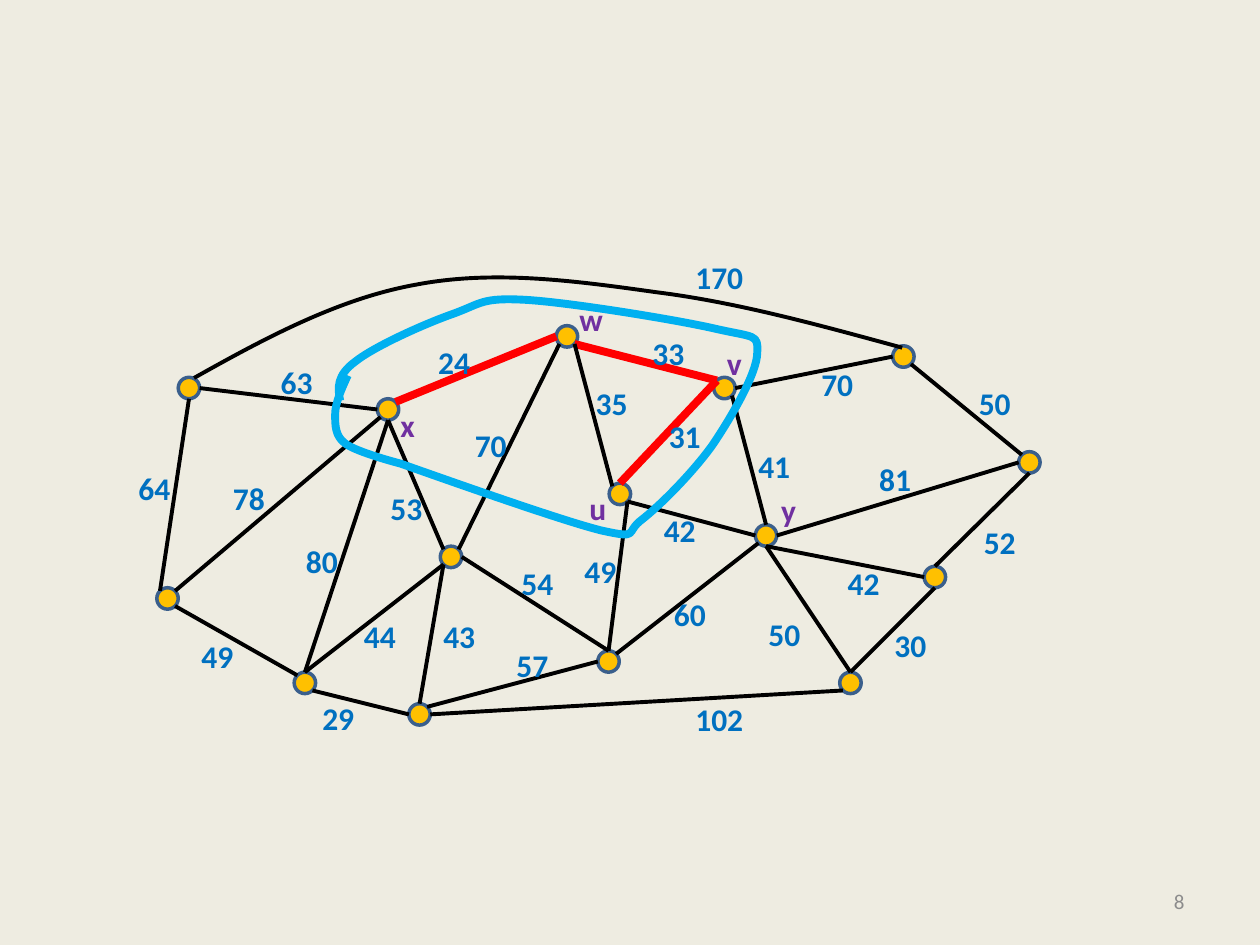
from lxml.etree import SubElement
from pptx import Presentation
from pptx.dml.color import RGBColor
from pptx.enum.shapes import MSO_CONNECTOR, MSO_SHAPE
from pptx.enum.text import MSO_ANCHOR, MSO_AUTO_SIZE, PP_ALIGN
from pptx.oxml.ns import qn
from pptx.util import Inches, Pt

THEME = {
    "font": "Calibri", "label": 18, "page": 12,
    "paper": "EEECE1", "grey": "8C8C8C", "dot": "FFC000", "rim": "3A5F8C",
    "edge": "000000", "tree": "FF0000", "cut": "00B0F0",
    "cost": "0070C0", "name": "7030A0",
    "thin": 2.25, "thick": 4.5, "rim_w": 2,
}

# Graph vertices: centre of each dot
DOTS = {
    "a": (1.5, 3.08), "x": (3.08, 3.25), "b": (1.33, 4.75),
    "c": (3.58, 4.42), "w": (4.5, 2.67), "d": (2.42, 5.42),
    "v": (5.75, 3.08), "u": (4.92, 3.92), "y": (6.08, 4.25),
    "e": (4.83, 5.25), "f": (7.42, 4.58), "g": (6.75, 5.42),
    "h": (3.33, 5.67), "i": (7.17, 2.83), "j": (8.17, 3.67),
}
SIZE = 0.17

# Edges: vertex and the side of its dot, at both ends
EDGES = [
    "a E x W", "a S b NW", "x S c NW", "c SW d N", "w SW c NE",
    "v NW u N", "w SE v NW", "c E e N", "c SW h N", "x NE w W",
    "v E i W", "i SE j NW", "v SE y N", "j W y E", "f W y S",
    "g N y S", "e N u SE", "u SE y W", "h E g SW", "b SE d NW",
    "e W h NE", "x SW b NE", "x S d N", "w SE u NW", "y SW e NE",
    "j S f N", "g N f S", "h W d SE",
]
TREE = {"vu", "wv", "xw"}

# Edge costs and vertex names: text, left, top
COSTS = [
    ("170", 5.42, 2), ("33", 5.08, 2.6), ("31", 5.21, 3.26),
    ("41", 5.92, 3.5), ("81", 6.88, 3.6), ("52", 7.71, 4.1),
    ("42", 6.63, 4.43), ("50", 7.67, 3), ("102", 5.42, 5.51),
    ("50", 6, 4.83), ("30", 7, 4.92), ("60", 5.25, 4.67),
    ("70", 3.67, 3.33), ("54", 4.04, 4.43), ("57", 4, 5.08),
    ("49", 4.54, 4.33), ("49", 1.5, 5.01), ("80", 2.33, 4.25),
    ("78", 1.75, 3.75), ("63", 2.13, 2.83), ("24", 3.38, 2.67),
    ("53", 3, 3.83), ("44", 2.79, 4.85), ("29", 2.46, 5.5),
    ("64", 1, 3.67), ("42", 5.17, 4.01), ("43", 3.42, 4.85),
    ("70", 6.42, 2.85), ("35", 4.63, 3),
]
NAMES = [("u", 4.58, 3.83), ("v", 5.67, 2.68), ("w", 4.5, 2.33),
         ("x", 3.08, 3.17), ("y", 6.1, 3.85)]
WIDTHS = {"u": 0.34, "v": 0.32, "w": 0.39, "x": 0.32, "y": 0.32}

# Curves: box, then a start point and two handles and an end per piece
ARC_BOX = (1.54, 2.2, 5.62, 0.8)
ARC = [(1.54, 3),
       (2.11, 2.68), (2.69, 2.37), (3.3, 2.26),
       (3.92, 2.14), (4.57, 2.23), (5.21, 2.32),
       (5.85, 2.4), (6.5, 2.58), (7.16, 2.76)]
CUT_BOX = (2.66, 2.37, 3.35, 1.87)
CUT = [(2.76, 2.98),
       (2.71, 3.09), (2.66, 3.2), (2.66, 3.29),
       (2.66, 3.38), (2.66, 3.46), (2.74, 3.52),
       (2.83, 3.59), (3.18, 3.68), (3.18, 3.68),
       (3.52, 3.8), (4.45, 4.13), (4.77, 4.21),
       (5.09, 4.28), (4.95, 4.23), (5.1, 4.12),
       (5.24, 4.01), (5.49, 3.76), (5.65, 3.54),
       (5.8, 3.32), (6.01, 2.96), (6.01, 2.8),
       (6.02, 2.65), (5.99, 2.68), (5.68, 2.61),
       (5.38, 2.54), (4.52, 2.4), (4.17, 2.38),
       (3.82, 2.36), (3.82, 2.41), (3.6, 2.49),
       (3.37, 2.57), (2.97, 2.75), (2.82, 2.87),
       (2.67, 2.98), (2.68, 3.08), (2.7, 3.18)]


def color(key):
    return RGBColor.from_string(THEME[key])


def stroke(shape, key, width):
    shape.line.color.rgb = color(key)
    shape.line.width = Pt(THEME[width])


def port(dot, side):
    """Point on the rim of a dot in a compass direction."""
    x, y = DOTS[dot]
    dx = ("E" in side) - ("W" in side)
    dy = ("S" in side) - ("N" in side)
    reach = SIZE / 2 / (dx * dx + dy * dy) ** 0.5
    return Inches(x + dx * reach), Inches(y + dy * reach)


def add_dot(slide, x, y):
    dot = slide.shapes.add_shape(
        MSO_SHAPE.OVAL, Inches(x - SIZE / 2), Inches(y - SIZE / 2),
        Inches(SIZE), Inches(SIZE))
    dot.shadow.inherit = False
    dot.fill.solid()
    dot.fill.fore_color.rgb = color("dot")
    stroke(dot, "rim", "rim_w")


def add_edge(slide, edge):
    start, out, end, into = edge.split()
    line = slide.shapes.add_connector(
        MSO_CONNECTOR.STRAIGHT, *port(start, out), *port(end, into))
    SubElement(line._element.spPr, qn("a:effectLst"))
    if start + end in TREE:
        stroke(line, "tree", "thick")
    else:
        stroke(line, "edge", "thin")


def add_curve(slide, knots, box, key, width):
    left, top, wide, high = map(Inches, box)
    spots = [(Inches(x), Inches(y)) for x, y in knots]
    pen = slide.shapes.build_freeform(*spots[0])
    pen.add_line_segments(spots[3::3], close=False)
    curve = pen.convert_to_shape()
    curve.left, curve.top, curve.width, curve.height = left, top, wide, high

    # Turn the straight pieces into cubic ones
    trace = next(curve._element.iter(qn("a:path")))
    trace.set("w", str(wide))
    trace.set("h", str(high))
    for old in list(trace):
        trace.remove(old)
    pieces = [("a:moveTo", spots[:1])]
    pieces += [("a:cubicBezTo", spots[k:k + 3])
               for k in range(1, len(spots), 3)]
    for tag, points in pieces:
        piece = SubElement(trace, qn(tag))
        for x, y in points:
            SubElement(piece, qn("a:pt"), x=str(x - left), y=str(y - top))

    curve.shadow.inherit = False
    curve.fill.background()
    stroke(curve, key, width)


def add_text(slide, text, x, y, width, key, size, bold=False):
    box = slide.shapes.add_textbox(
        Inches(x), Inches(y), Inches(width), Inches(0.4))
    frame = box.text_frame
    frame.text = text
    para = frame.paragraphs[0]
    para.font.name = THEME["font"]
    para.font.size = Pt(THEME[size])
    para.font.bold = bold
    para.font.color.rgb = color(key)
    return frame


def add_label(slide, text, x, y, key):
    width = WIDTHS.get(text, 0.2 + 0.13 * len(text))
    frame = add_text(slide, text, x, y, width, key, "label", True)
    frame.word_wrap = False
    frame.auto_size = MSO_AUTO_SIZE.SHAPE_TO_FIT_TEXT


def main():
    deck = Presentation()
    deck.slide_width, deck.slide_height = Inches(10), Inches(7.5)
    slide = deck.slides.add_slide(deck.slide_layouts[6])
    slide.background.fill.solid()
    slide.background.fill.fore_color.rgb = color("paper")

    # Page number
    page = add_text(slide, "8", 7.17, 6.95, 2.33, "grey", "page")
    page.word_wrap = True
    page.vertical_anchor = MSO_ANCHOR.MIDDLE
    page.paragraphs[0].alignment = PP_ALIGN.RIGHT

    # Graph
    for x, y in DOTS.values():
        add_dot(slide, x, y)
    for edge in EDGES:
        add_edge(slide, edge)
    add_curve(slide, ARC, ARC_BOX, "edge", "thin")

    # Labels, with the cut drawn around the tree
    for cost in COSTS:
        add_label(slide, *cost, "cost")
    for name in NAMES:
        add_label(slide, *name, "name")
    add_curve(slide, CUT, CUT_BOX, "cut", "thick")

    deck.save("out.pptx")


if __name__ == "__main__":
    main()
